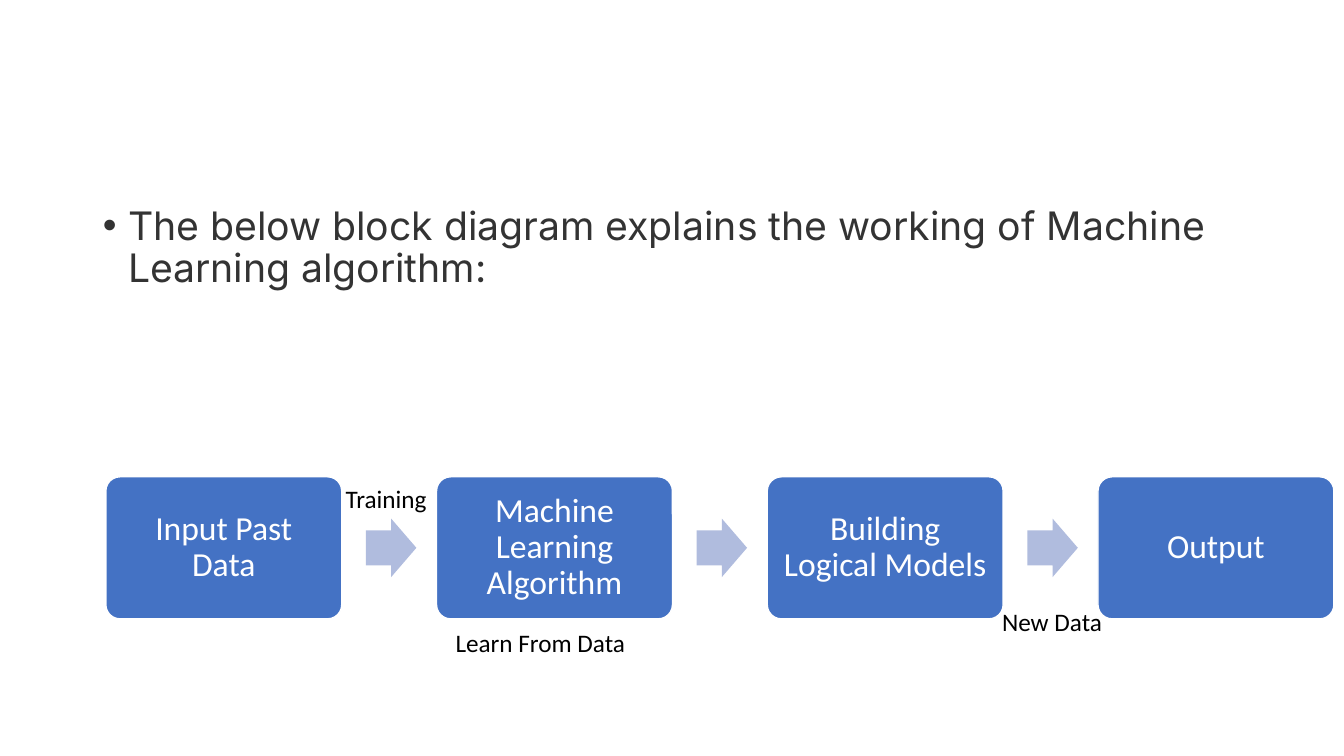
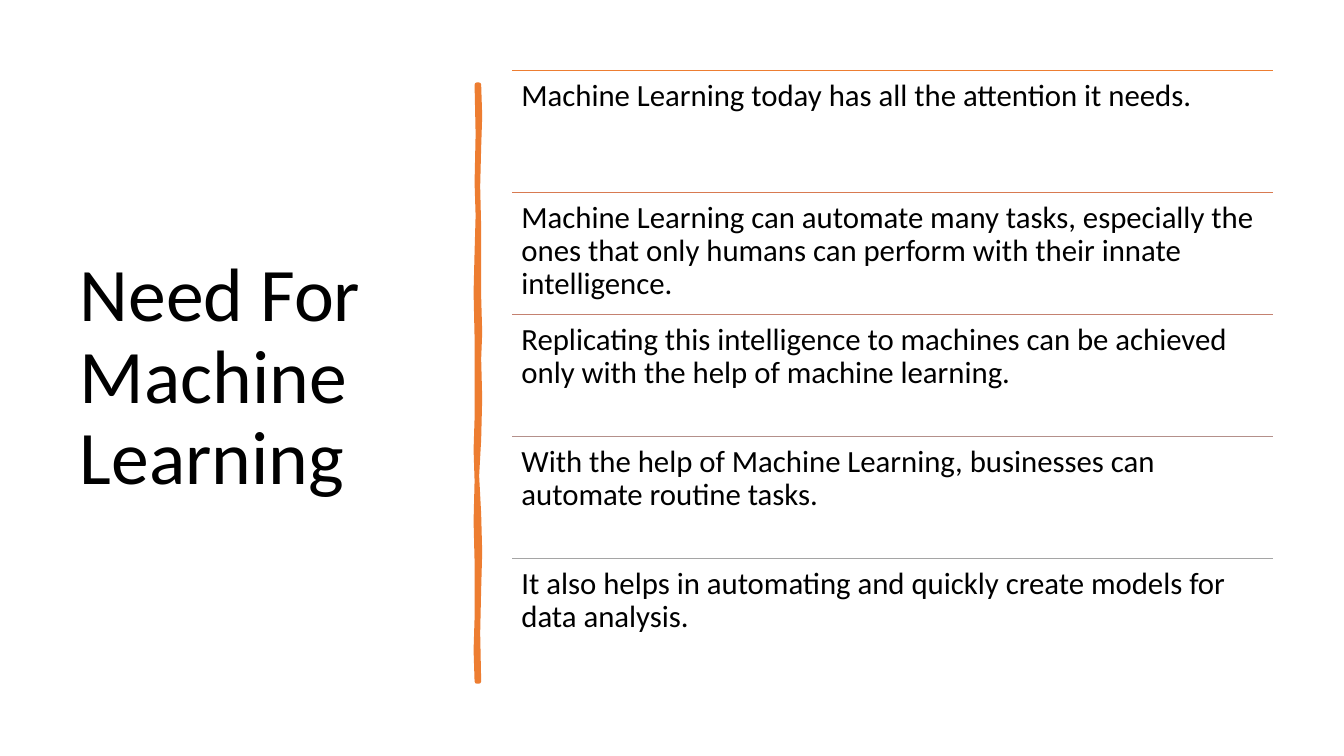
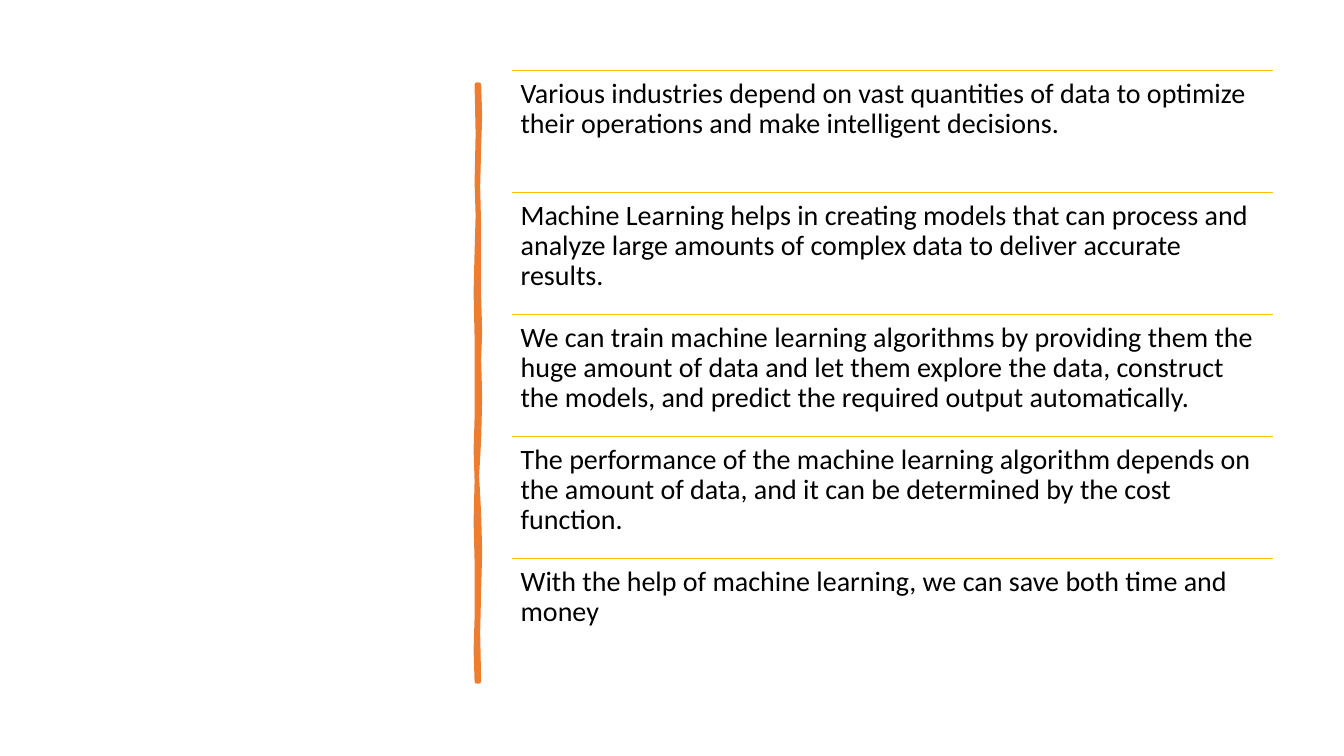
from lxml import etree
from pptx import Presentation
from pptx.dml.color import RGBColor
from pptx.enum.shapes import MSO_CONNECTOR, MSO_SHAPE
from pptx.enum.text import MSO_ANCHOR, MSO_AUTO_SIZE, PP_ALIGN
from pptx.oxml.ns import qn
from pptx.util import Inches, Pt

STRAIGHT = MSO_CONNECTOR.STRAIGHT
ROUNDED, ARROW = MSO_SHAPE.ROUNDED_RECTANGLE, MSO_SHAPE.RIGHT_ARROW
TOP, MIDDLE = MSO_ANCHOR.TOP, MSO_ANCHOR.MIDDLE
LEFT, CENTER = PP_ALIGN.LEFT, PP_ALIGN.CENTER
NO_AUTOFIT = MSO_AUTO_SIZE.NONE

BLACK = RGBColor(0x00, 0x00, 0x00)
WHITE = RGBColor(0xFF, 0xFF, 0xFF)
CHARCOAL = RGBColor(0x33, 0x33, 0x33)
BLUE = RGBColor(0x44, 0x72, 0xC4)
PALE_BLUE = RGBColor(0xB0, 0xBC, 0xDE)
ORANGE = RGBColor(0xED, 0x7D, 0x31)
GOLD = RGBColor(0xFF, 0xC0, 0x00)
ORANGE_TO_GREY = [ORANGE, RGBColor(0xD8, 0x7A, 0x51), RGBColor(0xC4, 0x81, 0x70),
                  RGBColor(0xB4, 0x90, 0x8B), RGBColor(0xA5, 0xA5, 0xA5)]

CONTENT_LAYOUT, TITLE_ONLY_LAYOUT, BLANK_LAYOUT = 1, 5, 6

# Process row, in inches
STEP_LEFT, STEP_TOP, STEP_PITCH = 1.05, 4.73, 3.28
STEP_WIDTH, STEP_HEIGHT = 2.34, 1.41
ARROW_OFFSET, ARROW_WIDTH, ARROW_HEIGHT = 2.58, 0.5, 0.58

# Ruled list, in inches
LIST_LEFT, LIST_TOP, LIST_WIDTH, ROW_HEIGHT = 5.08, 0.7, 7.55, 1.21
INSET_PER_SIZE = 0.3

# Outline of the brush stroke, down its right side and up its left
BRUSH_OUTLINE = [
    (4.75, 0.84), (4.76, 1.15), (4.75, 1.46), (4.74, 1.85), (4.75, 2.26),
    (4.75, 2.94), (4.76, 3.3), (4.75, 3.56), (4.76, 3.95), (4.75, 4.36),
    (4.73, 4.72), (4.75, 5.1), (4.76, 5.48), (4.75, 5.84), (4.74, 6.28),
    (4.75, 6.76), (4.73, 6.76), (4.72, 6.45), (4.73, 6.13), (4.73, 5.57),
    (4.72, 5.17), (4.73, 4.77), (4.72, 4.46), (4.73, 4.15), (4.73, 3.35),
    (4.72, 2.9), (4.73, 2.5), (4.74, 2.14), (4.73, 1.81), (4.74, 1.33),
    (4.73, 0.84),
]

STEPS = ["Input Past Data", "Machine Learning Algorithm",
         "Building Logical Models", "Output"]
STEP_LABELS = [("Training", 3.33, 4.75, 1.01), ("Learn From Data", 4.42, 6.17, 1.9),
               ("New Data", 9.84, 5.97, 1.21)]
NEEDS = [
    "Machine Learning today has all the attention it needs.",
    "Machine Learning can automate many tasks, especially the ones that only "
    "humans can perform with their innate intelligence.",
    "Replicating this intelligence to machines can be achieved only with the "
    "help of machine learning.",
    "With the help of Machine Learning, businesses can automate routine tasks.",
    "It also helps in automating and quickly create models for data analysis.",
]
BENEFITS = [
    "Various industries depend on vast quantities of data to optimize their "
    "operations and make intelligent decisions.",
    "Machine Learning helps in creating models that can process and analyze "
    "large amounts of complex data to deliver accurate results.",
    "We can train machine learning algorithms by providing them the huge amount "
    "of data and let them explore the data, construct the models, and predict "
    "the required output automatically.",
    "The performance of the machine learning algorithm depends on the amount of "
    "data, and it can be determined by the cost function.",
    "With the help of machine learning, we can save both time and money",
]


def set_attributes(target, values):
    for name, value in values.items():
        setattr(target, name, value)


def place(shape, left, top, width, height):
    set_attributes(shape, {"left": Inches(left), "top": Inches(top),
                           "width": Inches(width), "height": Inches(height)})


def write(shape, text, size, color=BLACK, font="Calibri", alignment=LEFT,
          anchor=TOP, spacing=0.9, inset=None, wrap=True):
    """Fill a shape with one formatted paragraph and return the paragraph."""
    frame = shape.text_frame
    set_attributes(frame, {"text": text, "word_wrap": wrap,
                           "auto_size": NO_AUTOFIT, "vertical_anchor": anchor})
    if inset is not None:
        for side in ("left", "top", "right", "bottom"):
            setattr(frame, f"margin_{side}", inset)
    paragraph = frame.paragraphs[0]
    set_attributes(paragraph, {"alignment": alignment, "line_spacing": spacing,
                               "space_before": Pt(0)})
    run_font = paragraph.runs[0].font
    set_attributes(run_font, {"name": font, "size": Pt(size)})
    run_font.color.rgb = color
    return paragraph


def add_text(slide, text, left, top, width, height, **format_values):
    box = slide.shapes.add_textbox(*map(Inches, (left, top, width, height)))
    write(box, text, **format_values)


def paint(shape, fill, line=None, line_width=1):
    shape.shadow.inherit = False
    shape.fill.solid()
    shape.fill.fore_color.rgb = fill
    if line is None:
        shape.line.fill.background()
    else:
        shape.line.color.rgb = line
        shape.line.width = Pt(line_width)


def add_block(slide, kind, left, top, width, height, adjustments):
    shape = slide.shapes.add_shape(kind, *map(Inches, (left, top, width, height)))
    for index, value in enumerate(adjustments):
        shape.adjustments[index] = value
    return shape


def add_bullet(paragraph, indent):
    properties = paragraph._p.get_or_add_pPr()
    properties.set("marL", str(Inches(indent)))
    properties.set("indent", str(-Inches(indent)))
    font = etree.SubElement(properties, qn("a:buFont"))
    font.set("typeface", "Arial")
    bullet = etree.SubElement(properties, qn("a:buChar"))
    bullet.set("char", "•")


def add_process(slide):
    for index, step in enumerate(STEPS):
        left = STEP_LEFT + index * STEP_PITCH
        box = add_block(slide, ROUNDED, left, STEP_TOP, STEP_WIDTH, STEP_HEIGHT, [0.1])
        paint(box, BLUE, WHITE)
        write(box, step, 24, WHITE, alignment=CENTER, anchor=MIDDLE, inset=Inches(0.1))
        if index < len(STEPS) - 1:
            arrow_top = STEP_TOP + (STEP_HEIGHT - ARROW_HEIGHT) / 2
            arrow = add_block(slide, ARROW, left + ARROW_OFFSET, arrow_top,
                              ARROW_WIDTH, ARROW_HEIGHT, [0.6, 0.5])
            paint(arrow, PALE_BLUE)


def add_brush_stroke(slide):
    start, *points = [(Inches(x), Inches(y)) for x, y in BRUSH_OUTLINE]
    builder = slide.shapes.build_freeform(*start)
    builder.add_line_segments(points, close=True)
    stroke = builder.convert_to_shape()
    paint(stroke, ORANGE, ORANGE, 3.25)
    etree.SubElement(stroke.line._get_or_add_ln(), qn("a:round"))


def add_rule(slide, top, color):
    rule = slide.shapes.add_connector(
        STRAIGHT, Inches(LIST_LEFT), Inches(top),
        Inches(LIST_LEFT + LIST_WIDTH), Inches(top))
    rule.line.color.rgb = color
    rule.line.width = Pt(1)
    etree.SubElement(rule._element.spPr, qn("a:effectLst"))


def add_ruled_list(slide, items, colors, size):
    for row, (item, color) in enumerate(zip(items, colors)):
        top = LIST_TOP + row * ROW_HEIGHT
        add_rule(slide, top, color)
        add_text(slide, item, LIST_LEFT, top, LIST_WIDTH, ROW_HEIGHT,
                 size=size, inset=Pt(INSET_PER_SIZE * size))


def add_slide(presentation, layout):
    return presentation.slides.add_slide(presentation.slide_layouts[layout])


def build_diagram_slide(presentation):
    slide = add_slide(presentation, CONTENT_LAYOUT)
    title = slide.shapes.title._element
    title.getparent().remove(title)
    body = slide.placeholders[1]
    place(body, 0.92, 2, 11.5, 4.76)
    paragraph = write(
        body, "The below block diagram explains the working of Machine Learning algorithm:",
        28, CHARCOAL, font="Inter")
    add_bullet(paragraph, 0.25)
    add_process(slide)
    for label, left, top, width in STEP_LABELS:
        add_text(slide, label, left, top, width, 0.4, size=18, spacing=1.0, wrap=False)


def build_needs_slide(presentation):
    slide = add_slide(presentation, TITLE_ONLY_LAYOUT)
    title = slide.shapes.title
    place(title, 0.69, 0.7, 3.74, 6.11)
    write(title, "Need For Machine Learning", 54, anchor=MIDDLE)
    add_brush_stroke(slide)
    add_ruled_list(slide, NEEDS, ORANGE_TO_GREY, 22)


def build_benefits_slide(presentation):
    slide = add_slide(presentation, BLANK_LAYOUT)
    add_brush_stroke(slide)
    add_ruled_list(slide, BENEFITS, [GOLD] * len(BENEFITS), 20)


def main():
    presentation = Presentation()
    presentation.slide_width = Inches(13.33)
    presentation.slide_height = Inches(7.5)
    build_diagram_slide(presentation)
    build_needs_slide(presentation)
    build_benefits_slide(presentation)
    presentation.save("out.pptx")


if __name__ == "__main__":
    main()
